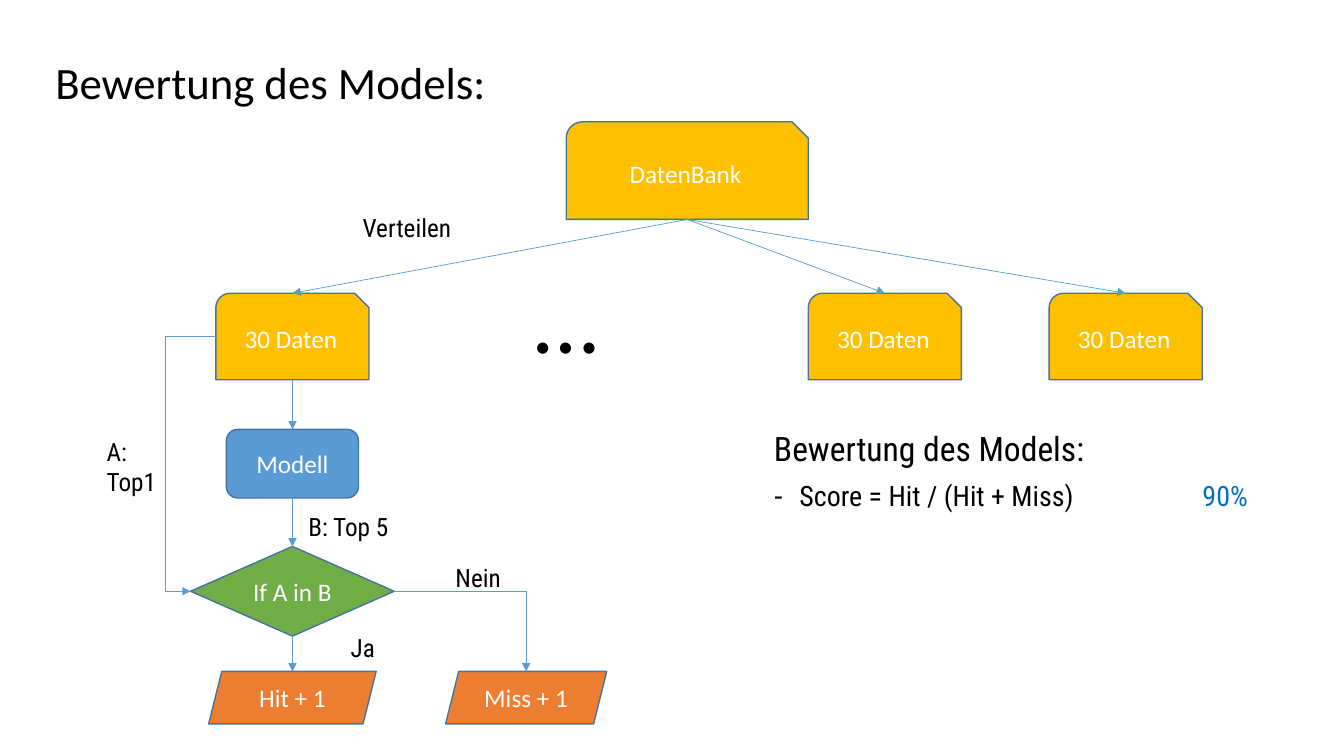
import pptx
import pptx.util
import pptx.dml.color
import pptx.enum.shapes
import pptx.enum.text
import pptx.oxml
import pptx.oxml.ns

Cm = pptx.util.Cm
Pt = pptx.util.Pt
RGB = pptx.dml.color.RGBColor
SHAPE = pptx.enum.shapes.MSO_SHAPE
CONNECTOR = pptx.enum.shapes.MSO_CONNECTOR
ALIGN = pptx.enum.text.PP_ALIGN
ANCHOR = pptx.enum.text.MSO_ANCHOR
AUTOSIZE = pptx.enum.text.MSO_AUTO_SIZE
NS = pptx.oxml.ns.nsdecls("a")

BLACK = RGB(0x00, 0x00, 0x00)
WHITE = RGB(0xFF, 0xFF, 0xFF)
GOLD = RGB(0xFF, 0xC0, 0x00)
BLUE = RGB(0x5B, 0x9B, 0xD5)
GREEN = RGB(0x70, 0xAD, 0x47)
ORANGE = RGB(0xED, 0x7D, 0x31)
OUTLINE = RGB(0x43, 0x73, 0x9E)
ACCENT = RGB(0x00, 0x70, 0xC0)


def add_xml(parent, xml):
    parent.append(pptx.oxml.parse_xml(xml))


def set_all(obj, values):
    for name, value in values.items():
        setattr(obj, name, value)


class Deck:
    heading_font = "Calibri"
    label_font = "Roboto Condensed"

    def __init__(self, prs):
        self.slide = prs.slides.add_slide(prs.slide_layouts[1])
        self.shapes = self.slide.shapes

    def run(self, p, text, size, font, color=BLACK):
        r = p.add_run()
        r.text = text
        set_all(r.font, {"name": font, "size": Pt(size)})
        r.font.color.rgb = color

    def place(self, sp, left, top, width, height):
        set_all(sp, {"left": Cm(left), "top": Cm(top),
                     "width": Cm(width), "height": Cm(height)})
        set_all(sp.text_frame, {"word_wrap": True, "auto_size": AUTOSIZE.NONE,
                                "vertical_anchor": ANCHOR.TOP})
        return sp.text_frame

    def title(self, text, *box):
        tf = self.place(self.shapes.title, *box)
        p = tf.paragraphs[0]
        set_all(p, {"alignment": ALIGN.LEFT, "line_spacing": 0.9})
        self.run(p, text, 32, self.heading_font)

    def score_list(self, heading, item, value, *box):
        tf = self.place(self.slide.placeholders[1], *box)
        rows = [(tf.paragraphs[0], 0, "<a:buNone %s/>"),
                (tf.add_paragraph(), Cm(0.64), '<a:buChar %s char="-"/>')]
        for p, indent, bullet in rows:
            set_all(p, {"line_spacing": 0.9, "space_before": Pt(10)})
            pPr = p._p.get_or_add_pPr()
            pPr.set("marL", str(indent))
            pPr.set("indent", str(-indent))
            add_xml(pPr, bullet % NS)
        add_xml(pPr, '<a:tabLst %s><a:tab pos="%d" algn="l"/></a:tabLst>'
                % (NS, Cm(10.8)))
        self.run(rows[0][0], heading, 24, self.label_font)
        self.run(p, item + "\t", 20, self.label_font)
        self.run(p, value, 20, self.label_font, ACCENT)

    def block(self, kind, text, fill, center, top, width, height):
        sp = self.shapes.add_shape(kind, Cm(center - width / 2), Cm(top),
                                   Cm(width), Cm(height))
        sp.shadow.inherit = False
        sp.fill.solid()
        sp.fill.fore_color.rgb = fill
        sp.line.color.rgb = OUTLINE
        sp.line.width = Pt(1)
        sp.text_frame.vertical_anchor = ANCHOR.MIDDLE
        p = sp.text_frame.paragraphs[0]
        p.alignment = ALIGN.CENTER
        self.run(p, text, 18, self.heading_font, WHITE)
        return sp

    def label(self, text, left, top, width, height=1.02, size=18, font=label_font):
        sp = self.shapes.add_textbox(0, 0, 0, 0)
        tf = self.place(sp, left, top, width, height)
        self.run(tf.paragraphs[0], text, size, font)

    def arrow(self, start, end, kind=CONNECTOR.STRAIGHT):
        cxn = self.shapes.add_connector(kind, *start, *end)
        cxn.line.color.rgb = BLUE
        cxn.line.width = Pt(0.5)
        add_xml(cxn.line._get_or_add_ln(), '<a:tailEnd %s type="triangle"/>' % NS)
        add_xml(cxn._element.spPr, "<a:effectLst %s/>" % NS)
        return cxn._element.spPr.find(pptx.oxml.ns.qn("a:prstGeom"))

    def corner(self, start, end):
        self.arrow(start, end, CONNECTOR.ELBOW).set("prst", "bentConnector2")

    def detour(self, start, end, ratio):
        geom = self.arrow(start, end, CONNECTOR.ELBOW)
        for child in list(geom):
            geom.remove(child)
        add_xml(geom, '<a:avLst %s><a:gd name="adj1" fmla="val %d"/></a:avLst>'
                % (NS, ratio * 100000))


def side(sp, x, y):
    return sp.left + int(sp.width * x), sp.top + int(sp.height * y)


def top(sp):
    return side(sp, 0.5, 0)


def bottom(sp):
    return side(sp, 0.5, 1)


def left(sp):
    return side(sp, 0, 0.5)


def right(sp):
    return side(sp, 1, 0.5)


prs = pptx.Presentation()
set_all(prs, {"slide_width": Cm(33.87), "slide_height": Cm(19.05)})
s = Deck(prs)
s.title("Bewertung des Models:", 1.14, 1.4, 29.2, 3.1)

FLOW = 7.37
MISS = 13.26
CARD = SHAPE.SNIP_ROUND_RECTANGLE
database = s.block(CARD, "DatenBank", GOLD, 17.32, 3.07, 6.1, 2.46)
parts = [s.block(CARD, "30 Daten", GOLD, center, 7.39, 3.86, 2.18)
         for center in (FLOW, 22.3, 28.37)]
model = s.block(SHAPE.ROUNDED_RECTANGLE, "Modell", BLUE, FLOW, 10.82, 3.33, 1.73)
check = s.block(SHAPE.DIAMOND, "If A in B", GREEN, FLOW, 13.77, 5.13, 2.26)
hit = s.block(SHAPE.PARALLELOGRAM, "Hit + 1", ORANGE, FLOW, 16.92, 4.22, 1.32)
miss = s.block(SHAPE.PARALLELOGRAM, "Miss + 1", ORANGE, MISS, 16.92, 4.06, 1.32)

for part in parts:
    s.arrow(bottom(database), top(part))
steps = [parts[0], model, check, hit]
for upper, lower in zip(steps, steps[1:]):
    s.arrow(bottom(upper), top(lower))
s.corner(right(check), top(miss))
s.detour(left(parts[0]), left(check), 2.02)

s.label("Verteilen", 8.89, 5.23, 3.45)
s.label("A: Top1", 2.44, 10.87, 2.08, 1.8)
s.label("B: Top 5", 7.52, 12.75, 2.74)
s.label("Ja", 8.59, 15.82, 1.78)
s.label("Nein", 11.23, 14.05, 2.03)
s.label("…", 13.21, 6.45, 5.56, 3.07, 66, s.heading_font)
s.score_list("Bewertung des Models:", "Score = Hit / (Hit + Miss)", "90%",
             19.25, 10.77, 13.97, 2.97)

prs.save("out.pptx")
